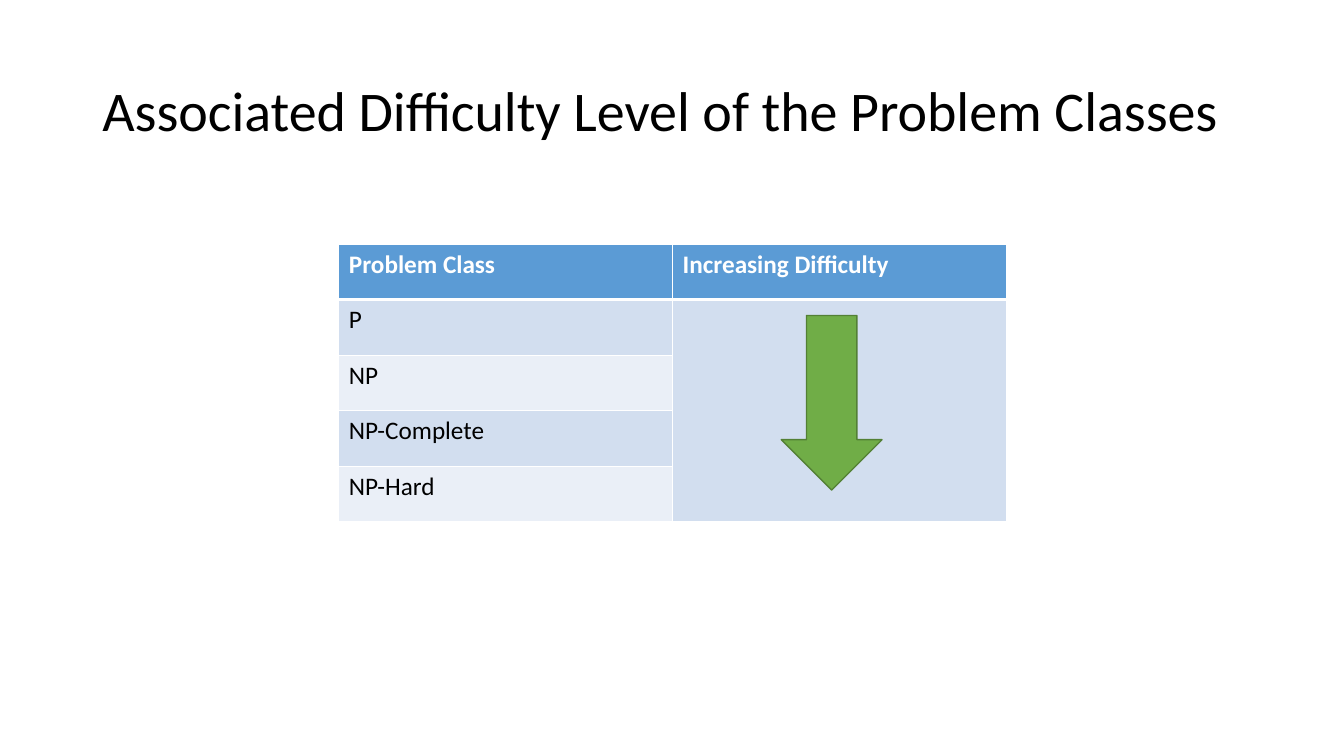
"""Build a slide that ranks the problem classes by difficulty."""
from dataclasses import dataclass

from lxml.etree import SubElement
from pptx import Presentation
from pptx.dml.color import RGBColor
from pptx.enum.shapes import MSO_SHAPE
from pptx.enum.text import MSO_ANCHOR
from pptx.oxml.ns import qn
from pptx.table import _Cell
from pptx.text.text import TextFrame
from pptx.util import Cm, Pt


@dataclass
class RowStyle:
    fill: str
    color: str
    bold: bool
    top: float
    bottom: float


HEADER = RowStyle("5B9BD5", "FFFFFF", True, 1, 3)
FIRST = RowStyle("D2DEEF", "000000", False, 3, 1)
LIGHT = RowStyle("EAEFF7", "000000", False, 1, 1)
DARK = RowStyle("D2DEEF", "000000", False, 1, 1)

ROWS = [
    (HEADER, ["Problem Class", "Increasing Difficulty"]),
    (FIRST, ["P", ""]),
    (LIGHT, ["NP", ""]),
    (DARK, ["NP-Complete", ""]),
    (LIGHT, ["NP-Hard", ""]),
]


def rgb(value: str) -> RGBColor:
    return RGBColor.from_string(value)


def write(tf: TextFrame, text: str, size: int, color: str, bold: bool = False) -> None:
    r = tf.paragraphs[0].add_run()
    r.text = text
    formats = {"name": "Calibri", "size": Pt(size), "bold": bold}
    for name, value in formats.items():
        setattr(r.font, name, value)
    r.font.color.rgb = rgb(color)


def add_border(cell: _Cell, side: str, width: float) -> None:
    ln = SubElement(cell._tc.get_or_add_tcPr(), qn(f"a:ln{side}"), w=str(Pt(width)))
    fill = SubElement(ln, qn("a:solidFill"))
    SubElement(fill, qn("a:srgbClr"), val="FFFFFF")


def draw_cell(cell: _Cell, text: str, style: RowStyle) -> None:
    widths = {"L": 1, "R": 1, "T": style.top, "B": style.bottom}
    for side, width in widths.items():
        add_border(cell, side, width)
    cell.fill.solid()
    cell.fill.fore_color.rgb = rgb(style.fill)
    if text:
        write(cell.text_frame, text, 18, style.color, style.bold)


def main() -> None:
    prs = Presentation()
    prs.slide_width, prs.slide_height = Cm(33.87), Cm(19.05)
    s = prs.slides.add_slide(prs.slide_layouts[6])

    tf = s.shapes.add_textbox(Cm(2.33), Cm(1.01), Cm(29.21), Cm(3.68)).text_frame
    tf.word_wrap = True
    tf.vertical_anchor = MSO_ANCHOR.MIDDLE
    tf.paragraphs[0].line_spacing = 0.9
    write(tf, "Associated Difficulty Level of the Problem Classes", 40, "000000")

    table = s.shapes.add_table(
        len(ROWS), 2, Cm(8.54), Cm(6.15), Cm(16.82), Cm(7)
    ).table
    for i, (style, texts) in enumerate(ROWS):
        for j, text in enumerate(texts):
            draw_cell(table.cell(i, j), text, style)
    table.cell(1, 1).merge(table.cell(len(ROWS) - 1, 1))

    sp = s.shapes.add_shape(
        MSO_SHAPE.DOWN_ARROW, Cm(19.69), Cm(7.95), Cm(2.54), Cm(4.4)
    )
    sp.shadow.inherit = False
    sp.fill.solid()
    sp.fill.fore_color.rgb = rgb("70AD47")
    sp.line.color.rgb = rgb("538035")
    sp.line.width = Pt(1)

    prs.save("out.pptx")


if __name__ == "__main__":
    main()
